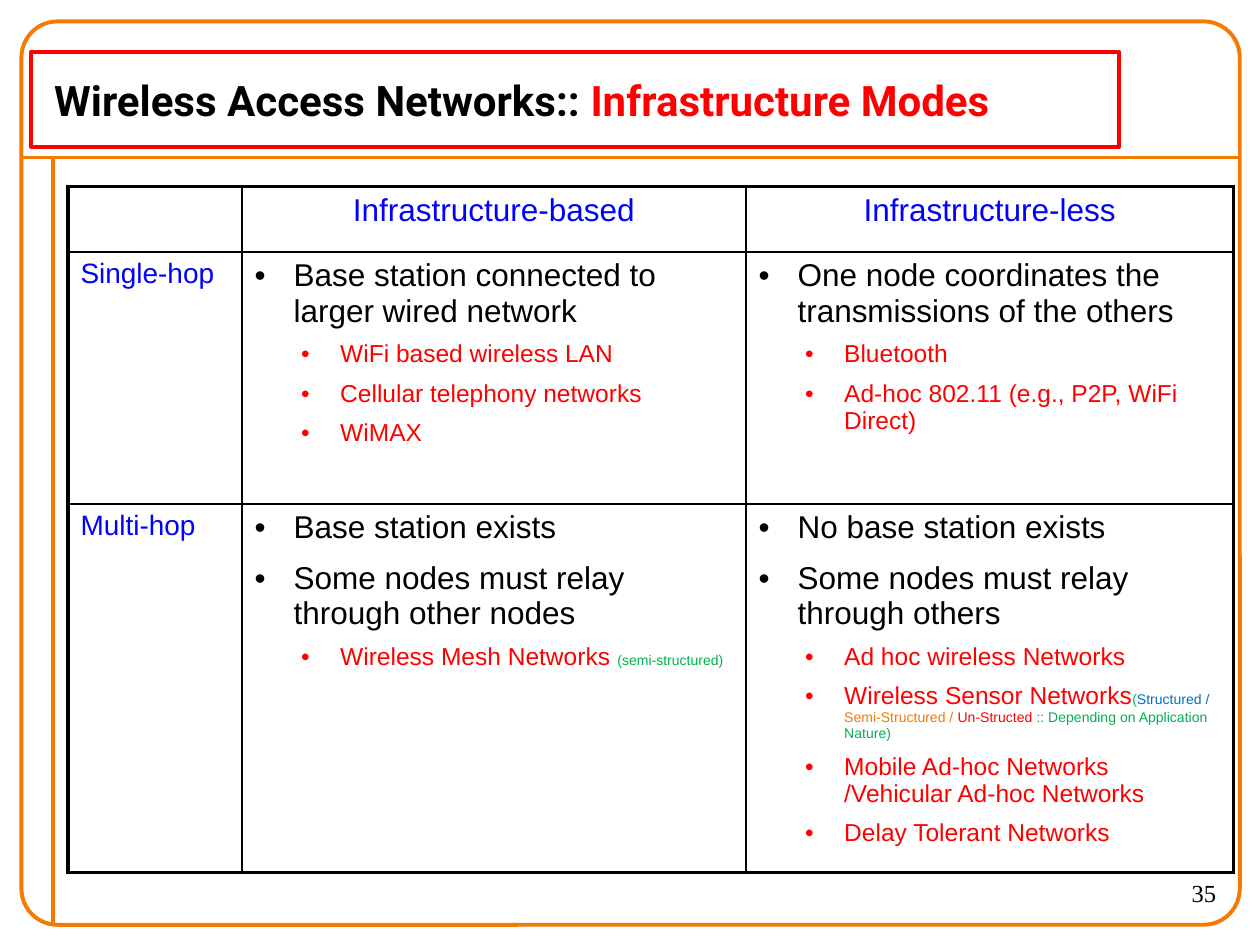
from lxml import etree
from pptx import Presentation
from pptx.dml.color import RGBColor
from pptx.enum import shapes, text
from pptx.oxml import ns
from pptx.util import Inches, Pt

COLORS = {"black": "000000", "red": "FF0000", "blue": "0000FF", "orange": "F47A00",
          "green": "00B050", "sky": "0070C0"}

COLUMNS = [1.38, 4, 3.87]
ROWS = [0.52, 2, 2.48]
THICK, THIN = 2.25, 1
SMALL = 8

# Style of a paragraph: size, colour, alignment, left indent in inches (None: no bullet)
STYLES = {
    "head": (18, "blue", text.PP_ALIGN.CENTER, None),
    "side": (16, "blue", text.PP_ALIGN.LEFT, None),
    "point": (18, "black", text.PP_ALIGN.LEFT, 0.31),
    "example": (14, "red", text.PP_ALIGN.LEFT, 0.68),
}

# Each cell lists (style, main text, *(small text, colour))
CELLS = [
    [[], [("head", "Infrastructure-based")], [("head", "Infrastructure-less")]],
    [[("side", "Single-hop")],
     [("point", "Base station connected to larger wired network"),
      ("example", "WiFi based wireless LAN"),
      ("example", "Cellular telephony networks"),
      ("example", "WiMAX")],
     [("point", "One node coordinates the transmissions of the others"),
      ("example", "Bluetooth"),
      ("example", "Ad-hoc 802.11 (e.g., P2P, WiFi Direct)")]],
    [[("side", "Multi-hop")],
     [("point", "Base station exists"),
      ("point", "Some nodes must relay through other nodes"),
      ("example", "Wireless Mesh Networks ", ("(semi-structured)", "green"))],
     [("point", "No base station exists"),
      ("point", "Some nodes must relay through others"),
      ("example", "Ad hoc wireless Networks"),
      ("example", "Wireless Sensor Networks", ("(", "green"), ("Structured / ", "sky"),
       ("Semi-Structured / ", "orange"), ("Un-Structed", "red"),
       (" :: Depending on Application Nature)", "green")),
      ("example", "Mobile Ad-hoc Networks /Vehicular Ad-hoc Networks"),
      ("example", "Delay Tolerant Networks")]],
]


def rgb(name):
    return RGBColor.from_string(COLORS[name])


def add_run(p, words, size, color, font="Arial", bold=False):
    r = p.add_run()
    r.text = words
    for key, value in {"size": Pt(size), "name": font, "bold": bold}.items():
        setattr(r.font, key, value)
    r.font.color.rgb = rgb(color)


def add_outline(s, kind, color, x, y, w, h):
    sp = s.shapes.add_shape(kind, Inches(x), Inches(y), Inches(w), Inches(h))
    sp.shadow.inherit = False
    sp.fill.background()
    sp.line.color.rgb = rgb(color)
    sp.line.width = Pt(THICK)
    return sp


def add_rule(s, x1, y1, x2, y2):
    line = s.shapes.add_connector(shapes.MSO_CONNECTOR.STRAIGHT, Inches(x1), Inches(y1),
                                  Inches(x2), Inches(y2))
    line.line.color.rgb = rgb("orange")
    line.line.width = Pt(THICK)
    etree.SubElement(line._element.spPr, ns.qn("a:effectLst"))


def add_frame(s, x, y, w, h):
    """Rounded page border with a rule below the title and one down the left margin."""
    rule_y, margin_x = y + 1.08, x + 0.25
    add_rule(s, x, rule_y, x + w, rule_y)
    add_rule(s, margin_x, rule_y, margin_x, y + h)
    border = add_outline(s, shapes.MSO_SHAPE.ROUNDED_RECTANGLE, "orange", x, y, w, h)
    border.adjustments[0] = 0.04


def add_title(s, x, y, w, h):
    sp = s.shapes.title
    box = {"left": x + 0.08, "top": y + 0.01, "width": w + 0.19, "height": h - 0.01}
    for key, value in box.items():
        setattr(sp, key, Inches(value))
    tf = sp.text_frame
    tf.word_wrap = True
    tf.vertical_anchor = text.MSO_ANCHOR.MIDDLE
    p = tf.paragraphs[0]
    p.alignment = text.PP_ALIGN.LEFT
    add_run(p, "Wireless Access Networks:: ", 24, "black", "Roboto", True)
    add_run(p, "Infrastructure Modes", 24, "red", "Roboto", True)
    add_outline(s, shapes.MSO_SHAPE.RECTANGLE, "red", x, y, w, h)


def add_bullet(p, indent):
    pPr = p._p.get_or_add_pPr()
    pPr.set("marL", str(Inches(indent)))
    pPr.set("indent", str(-Inches(0.31)))
    etree.SubElement(pPr, ns.qn("a:buFont"), typeface="Arial")
    etree.SubElement(pPr, ns.qn("a:buChar"), char="•")


def fill_cell(cell, paragraphs):
    tf = cell.text_frame
    for i, (style, words, *notes) in enumerate(paragraphs):
        size, color, align, indent = STYLES[style]
        p = tf.add_paragraph() if i else tf.paragraphs[0]
        if indent is not None:
            add_bullet(p, indent)
        p.alignment = align
        p.level = int(style == "example")
        if i:
            p.space_before = Pt(round(size * 0.48, 1))
        add_run(p, words, size, color)
        for note, note_color in notes:
            add_run(p, note, SMALL, note_color)


def set_borders(cell, widths):
    tcPr = cell._tc.get_or_add_tcPr()
    for side, width in widths.items():
        ln = etree.SubElement(tcPr, ns.qn(f"a:ln{side}"), w=str(Pt(width)))
        fill = etree.SubElement(ln, ns.qn("a:solidFill"))
        etree.SubElement(fill, ns.qn("a:srgbClr"), val=COLORS["black"])


def add_modes_table(s, x, y):
    last_row, last_col = len(ROWS) - 1, len(COLUMNS) - 1
    table = s.shapes.add_table(len(ROWS), len(COLUMNS), Inches(x), Inches(y),
                               Inches(sum(COLUMNS)), Inches(sum(ROWS))).table
    table.first_row = table.horz_banding = False
    for column, width in zip(table.columns, COLUMNS):
        column.width = Inches(width)
    for r, height in enumerate(ROWS):
        table.rows[r].height = Inches(height)
        for c, paragraphs in enumerate(CELLS[r]):
            cell = table.cell(r, c)
            outer = {"L": c == 0, "R": c == last_col, "T": r == 0, "B": r == last_row}
            set_borders(cell, {side: THICK if edge else THIN for side, edge in outer.items()})
            cell.fill.background()
            fill_cell(cell, paragraphs)


def add_page_number(s, x, y, w, h):
    tf = s.shapes.add_textbox(Inches(x), Inches(y), Inches(w), Inches(h)).text_frame
    tf.word_wrap = True
    p = tf.paragraphs[0]
    p.alignment = text.PP_ALIGN.RIGHT
    add_run(p, "35", 14, "black", "Times New Roman")


def main():
    prs = Presentation()
    prs.slide_width, prs.slide_height = Inches(10), Inches(7.5)
    s = prs.slides.add_slide(prs.slide_layouts[5])
    add_frame(s, 0.17, 0.17, 9.67, 7.17)
    add_page_number(s, 8.75, 6.92, 1, 0.42)
    add_modes_table(s, 0.54, 1.48)
    add_title(s, 0.25, 0.41, 8.63, 0.76)
    prs.save("out.pptx")


if __name__ == "__main__":
    main()
